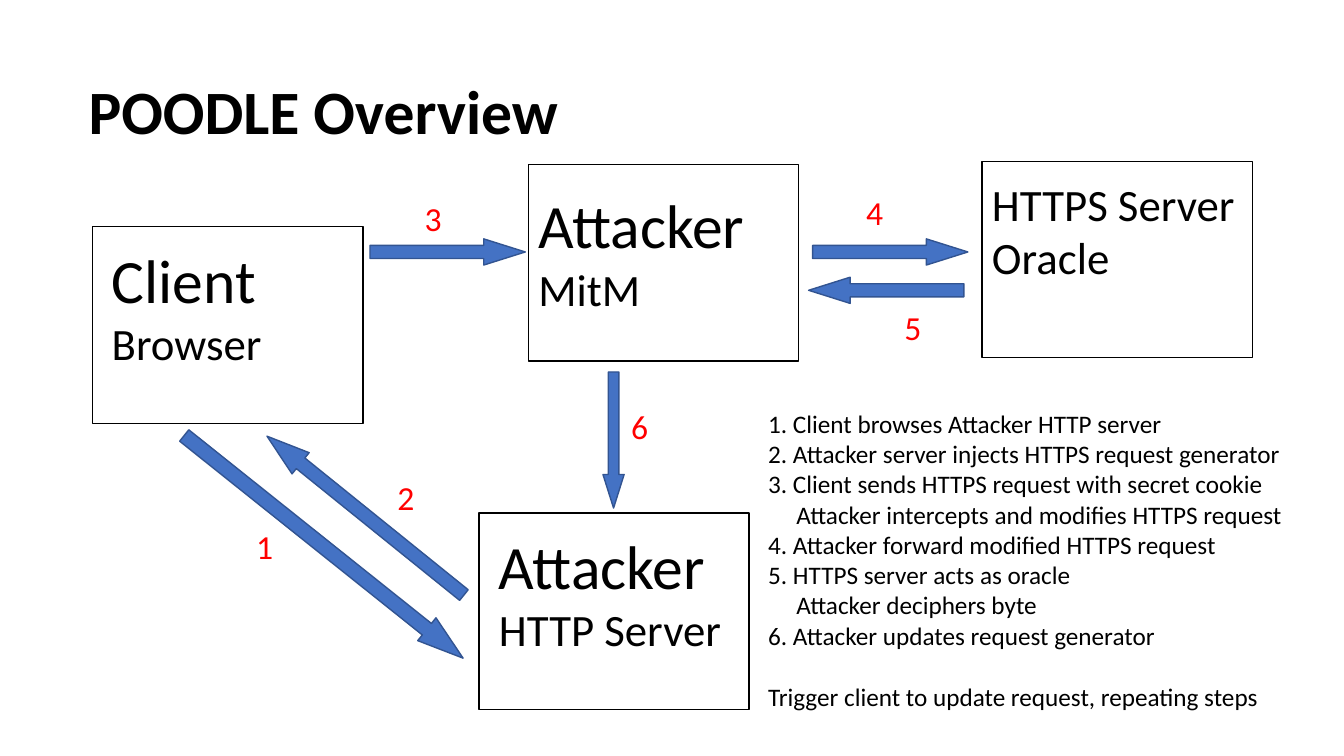
from pptx import Presentation
from pptx.dml.color import RGBColor
from pptx.enum.shapes import MSO_SHAPE as Shape
from pptx.enum.text import MSO_ANCHOR as Anchor, MSO_AUTO_SIZE as AutoSize, PP_ALIGN as Align
from pptx.util import Inches, Pt


def color(value):
    return RGBColor.from_string(value)


class Diagram:
    FONT = "Calibri"
    BLACK, RED, BLUE, DARK_BLUE = "000000", "FF0000", "4472C4", "325491"
    NODE_SIZE = (2.68, 1.95)

    def __init__(self, page):
        self.page = page

    def text_box(self, left, top, width, height, wrap=True):
        box = self.page.shapes.add_textbox(*map(Inches, (left, top, width, height)))
        box.text_frame.word_wrap = wrap
        box.text_frame.auto_size = AutoSize.SHAPE_TO_FIT_TEXT
        return box.text_frame

    def add_line(self, frame, text, size, fill=BLACK, bold=False):
        """Fill the empty first paragraph, or append a new one."""
        first = frame.paragraphs[0]
        para = frame.add_paragraph() if first.runs else first
        span = para.add_run()
        span.text = text
        span.font.name = self.FONT
        span.font.size = Pt(size)
        span.font.bold = bold
        span.font.color.rgb = color(fill)
        return para

    def title(self, text):
        frame = self.text_box(0.78, 0.41, 11.5, 1.45)
        frame.auto_size = AutoSize.NONE
        frame.vertical_anchor = Anchor.MIDDLE
        self.add_line(frame, text, 44, bold=True).line_spacing = 0.9

    def shape(self, kind, left, top, width, height, line):
        shape = self.page.shapes.add_shape(kind, *map(Inches, (left, top, width, height)))
        shape.shadow.inherit = False
        shape.line.color.rgb = color(line)
        shape.line.width = Pt(1)
        return shape

    def node(self, left, top, label_place, lines):
        """Draw an outlined box and its label of (text, size) lines."""
        outline = self.shape(Shape.RECTANGLE, left, top, *self.NODE_SIZE, self.BLACK)
        outline.fill.background()
        frame = self.text_box(*label_place)
        for text, size in lines:
            self.add_line(frame, text, size)

    def arrow(self, left, top, width, height, rotation=0):
        arrow = self.shape(Shape.RIGHT_ARROW, left, top, width, height, self.DARK_BLUE)
        arrow.adjustments[0], arrow.adjustments[1] = 0.5, 1.586
        arrow.rotation = rotation
        arrow.fill.solid()
        arrow.fill.fore_color.rgb = color(self.BLUE)

    def step_number(self, number, left, top):
        frame = self.text_box(left, top, 0.37, 0.5, wrap=False)
        self.add_line(frame, str(number), 24, self.RED).alignment = Align.CENTER

    def steps(self, steps, closing):
        """List numbered steps, indenting the lines that continue one."""
        frame = self.text_box(7.52, 4, 5.69, 3.13)
        for number, (text, *continuations) in enumerate(steps, 1):
            self.add_line(frame, f"{number}. {text}", 18)
            for continuation in continuations:
                para = self.add_line(frame, continuation, 18)
                para._p.get_or_add_pPr().set("marL", str(Inches(0.28)))
        self.add_line(frame, closing, 18).space_before = Pt(22)


NODES = [
    (0.92, 2.25, (1.01, 2.35, 2.4, 1.38), [("Client", 44), ("Browser", 32)]),
    (5.24, 1.63, (5.24, 1.81, 2.42, 1.38), [("Attacker", 44), ("MitM", 32)]),
    (9.74, 1.6, (9.74, 1.7, 2.68, 1.18), [("HTTPS Server", 32), ("Oracle", 32)]),
    (4.75, 5.09, (4.85, 5.19, 2.42, 1.38), [("Attacker", 44), ("HTTP Server", 32)]),
]

# Per step: arrow (left, top, width, height, rotation), then number (left, top)
FLOWS = [
    ((1.44, 5.28, 3.54, 0.29, 38.6), (2.44, 5.17)),
    ((2.37, 4.98, 2.51, 0.27, 218.9), (3.84, 4.68)),
    ((3.67, 2.37, 1.54, 0.26), (4.11, 1.91)),
    ((8.06, 2.37, 1.54, 0.26), (8.49, 1.85)),
    ((8.02, 2.75, 1.54, 0.26, 180), (8.87, 3)),
    ((5.41, 4.26, 1.35, 0.21, 90), (6.16, 3.98)),
]

STEPS = [
    ["Client browses Attacker HTTP server"],
    ["Attacker server injects HTTPS request generator"],
    ["Client sends HTTPS request with secret cookie",
     "Attacker intercepts and modifies HTTPS request"],
    ["Attacker forward modified HTTPS request"],
    ["HTTPS server acts as oracle", "Attacker deciphers byte"],
    ["Attacker updates request generator"],
]


def main():
    deck = Presentation()
    deck.slide_width, deck.slide_height = Inches(13.33), Inches(7.5)
    diagram = Diagram(deck.slides.add_slide(deck.slide_layouts[6]))
    diagram.title("POODLE Overview")
    for node in NODES:
        diagram.node(*node)
    for number, (arrow, label) in enumerate(FLOWS, 1):
        diagram.arrow(*arrow)
        diagram.step_number(number, *label)
    diagram.steps(STEPS, "Trigger client to update request, repeating steps")
    deck.save("out.pptx")


if __name__ == "__main__":
    main()
